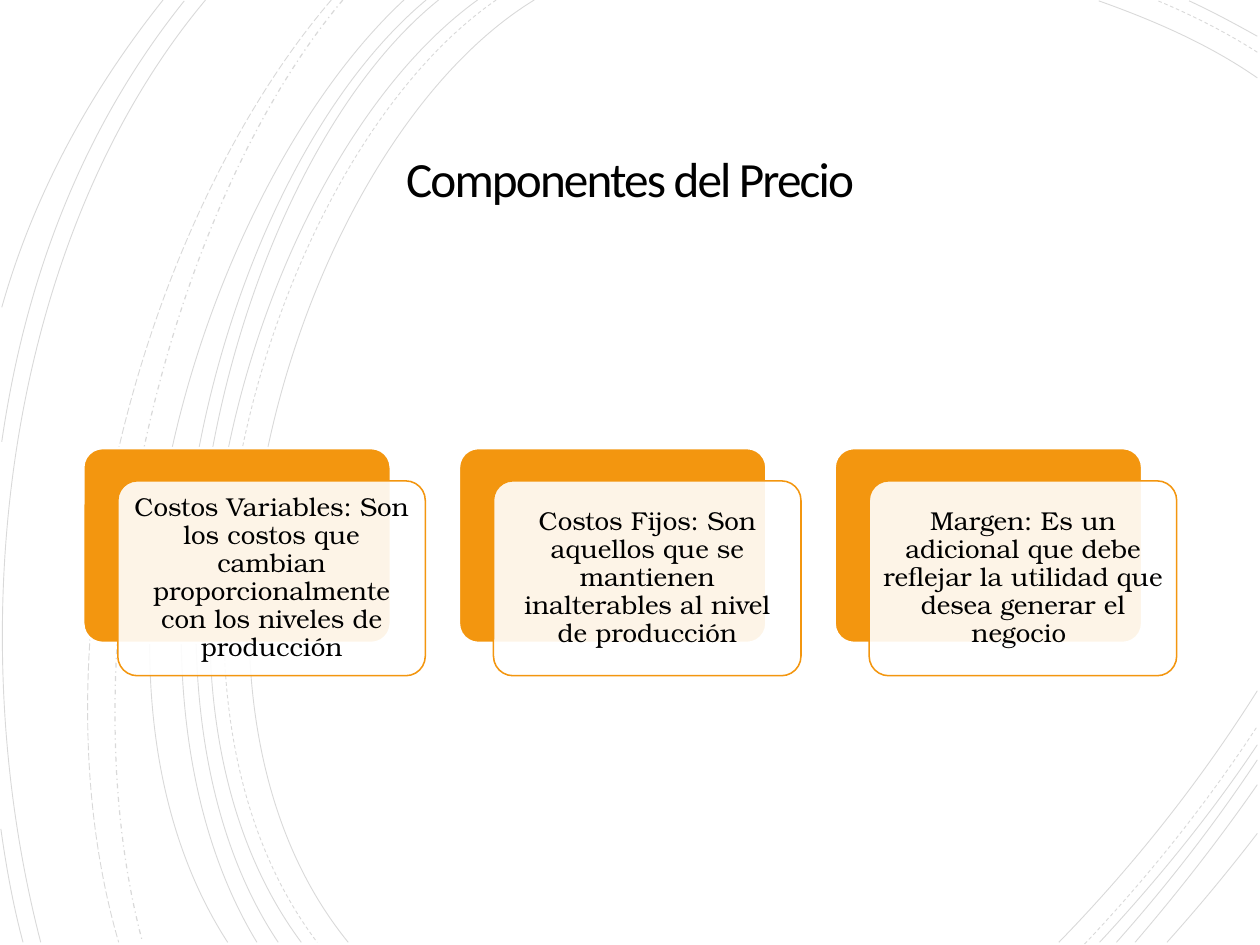
import dataclasses
import typing

import lxml.etree
import pptx
import pptx.dml.color
import pptx.enum.dml
import pptx.enum.shapes
import pptx.enum.text
import pptx.oxml.ns
import pptx.shapes.autoshape
import pptx.slide
import pptx.util

BLACK = pptx.dml.color.RGBColor(0x00, 0x00, 0x00)
WHITE = pptx.dml.color.RGBColor(0xFF, 0xFF, 0xFF)
ORANGE = pptx.dml.color.RGBColor(0xF3, 0x96, 0x0F)

# The slide is a grid of one-inch cells
COLUMNS, ROWS = 14.22, 10.67
CELL = pptx.util.Inches(1)

# Cards: three columns, each a back panel with a front panel shifted over it
CARD_LEFT, CARD_TOP, CARD_PITCH = 0.94, 5.06, 4.24
CARD_WIDTH, CARD_HEIGHT = 3.47, 2.2
SHIFT_X, SHIFT_Y = 0.39, 0.37
CORNER = 0.1
CARD_INSET, TITLE_INSET = 0.09, 0.25

CURVE_OPACITY, CARD_OPACITY = 15, 90
BOTTOM = 10.64
RIGHT = 14.19

Dash = pptx.enum.dml.MSO_LINE
Preset = pptx.enum.shapes.MSO_SHAPE
Point = tuple[float, float]
qn = pptx.oxml.ns.qn


@dataclasses.dataclass(frozen=True)
class Curve:
    start: Point
    bend_in: Point
    bend_out: Point
    end: Point
    dash: typing.Any = Dash.SOLID
    width: float = 0.75


@dataclasses.dataclass(frozen=True)
class Card:
    column: int
    text: str


CURVES = [
    # Long arcs from the top edge to the bottom edge
    Curve((6.03, 0), (3.36, 1.63), (1.52, 7.68), (3.93, BOTTOM)),
    Curve((5.6, 0), (3.04, 1.77), (1.31, 7.64), (3.58, BOTTOM), Dash.DASH),
    Curve((5.39, 0), (2.88, 1.81), (1.17, 7.64), (3.4, BOTTOM)),
    Curve((4.95, 0), (2.6, 1.89), (1.17, 7.7), (3.14, BOTTOM)),
    Curve((4.81, 0), (2.46, 1.96), (1.04, 7.58), (2.9, BOTTOM)),
    Curve((4.56, 0), (2.32, 2.08), (0.56, 7.53), (2.57, BOTTOM)),
    Curve((3.87, 0), (1.88, 2.37), (0.7, 7.24), (1.61, BOTTOM), Dash.DASH_DOT, 1),
    Curve((3.74, 0), (1.68, 2.4), (0.31, 7.1), (1.34, BOTTOM), Dash.LONG_DASH),
    Curve((2.32, 0), (0.12, 2.63), (-0.49, 6.97), (0.46, BOTTOM)),
    # Short arcs on the left edge
    Curve((2.08, 0.01), (0.99, 1.37), (0.3, 3.04), (0.02, 4.99)),
    Curve((0.01, 9.36), (0.07, 9.79), (0.15, 10.23), (0.26, BOTTOM)),
    Curve((1.84, 0), (1.06, 0.98), (0.4, 2.13), (0.02, 3.47)),
    # Top right corner
    Curve((RIGHT, 0.88), (13.63, 0.49), (12.99, 0.22), (12.4, 0.01)),
    Curve((RIGHT, 0.59), (13.83, 0.36), (13.45, 0.17), (13.07, 0.01), Dash.DASH),
    Curve((RIGHT, 0.41), (13.94, 0.27), (13.68, 0.13), (13.42, 0.01)),
    # Bottom right corner
    Curve((11.95, BOTTOM), (12.76, 9.81), (13.53, 8.85), (RIGHT, 7.8)),
    Curve((12.24, 10.66), (12.94, 9.92), (13.6, 9.1), (RIGHT, 8.2), Dash.DASH),
    Curve((12.41, BOTTOM), (13.04, 9.96), (13.65, 9.22), (RIGHT, 8.41)),
    Curve((12.6, BOTTOM), (13.16, 10.01), (13.7, 9.32), (RIGHT, 8.58)),
    Curve((12.81, BOTTOM), (13.29, 10.08), (13.76, 9.48), (RIGHT, 8.86)),
    Curve((13.17, BOTTOM), (13.52, 10.25), (13.86, 9.84), (RIGHT, 9.41)),
]

CARDS = [
    Card(0, "Costos Variables: Son los costos que cambian proporcionalmente "
            "con los niveles de producción"),
    Card(1, "Costos Fijos: Son aquellos que se mantienen inalterables "
            "al nivel de producción"),
    Card(2, "Margen: Es un adicional que debe reflejar la utilidad "
            "que desea generar el negocio "),
]


def cells(n: float) -> int:
    return round(n * CELL)


def set_opacity(sp: pptx.shapes.autoshape.Shape, parent: str, percent: int) -> None:
    """Make the solid colour found under the parent tag partly transparent."""
    steps = [qn(tag) for tag in (*parent.split(), "a:solidFill", "a:srgbClr")]
    colour = sp.element.spPr.find("/".join(steps))
    lxml.etree.SubElement(colour, qn("a:alpha")).set("val", str(percent * 1000))


def bend(sp: pptx.shapes.autoshape.Shape) -> None:
    """Turn the three line segments into one cubic curve."""
    segments = list(sp.element.iter(qn("a:lnTo")))
    outline = segments[0].getparent()
    cubic = lxml.etree.SubElement(outline, qn("a:cubicBezTo"))
    for segment in segments:
        cubic.append(segment[0])
        outline.remove(segment)


def write(sp: pptx.shapes.autoshape.Shape, text: str, font: str, size: float,
          spacing: float, inset: float) -> None:
    tf = sp.text_frame
    tf.text = text
    tf.word_wrap = True
    tf.auto_size = pptx.enum.text.MSO_AUTO_SIZE.NONE
    tf.vertical_anchor = pptx.enum.text.MSO_ANCHOR.MIDDLE
    tf.margin_left = tf.margin_right = tf.margin_top = tf.margin_bottom = cells(inset)
    p = tf.paragraphs[0]
    p.alignment = pptx.enum.text.PP_ALIGN.CENTER
    p.line_spacing = spacing
    r = p.runs[0]
    r.font.name = font
    r.font.size = pptx.util.Pt(size)
    r.font.color.rgb = BLACK


def draw_curve(s: pptx.slide.Slide, curve: Curve) -> None:
    builder = s.shapes.build_freeform(*map(cells, curve.start))
    knots = (curve.bend_in, curve.bend_out, curve.end)
    builder.add_line_segments([(cells(x), cells(y)) for x, y in knots], close=False)
    sp = builder.convert_to_shape()
    bend(sp)
    sp.shadow.inherit = False
    sp.fill.background()
    sp.line.color.rgb = BLACK
    sp.line.width = pptx.util.Pt(curve.width)
    sp.line.dash_style = curve.dash
    set_opacity(sp, "a:ln", CURVE_OPACITY)


def add_filled(s: pptx.slide.Slide, preset: Preset, left: float, top: float,
               width: float, height: float,
               fill: pptx.dml.color.RGBColor) -> pptx.shapes.autoshape.Shape:
    sp = s.shapes.add_shape(preset, *map(cells, (left, top, width, height)))
    sp.shadow.inherit = False
    sp.fill.solid()
    sp.fill.fore_color.rgb = fill
    return sp


def add_panel(s: pptx.slide.Slide, left: float, top: float,
              fill: pptx.dml.color.RGBColor, line: pptx.dml.color.RGBColor,
              width: float) -> pptx.shapes.autoshape.Shape:
    sp = add_filled(s, Preset.ROUNDED_RECTANGLE, left, top,
                    CARD_WIDTH, CARD_HEIGHT, fill)
    sp.adjustments[0] = CORNER
    sp.line.color.rgb = line
    sp.line.width = pptx.util.Pt(width)
    return sp


def draw_card(s: pptx.slide.Slide, card: Card) -> None:
    left = CARD_LEFT + card.column * CARD_PITCH
    add_panel(s, left, CARD_TOP, ORANGE, WHITE, 2)
    sp = add_panel(s, left + SHIFT_X, CARD_TOP + SHIFT_Y, WHITE, ORANGE, 1.25)
    set_opacity(sp, "", CARD_OPACITY)
    write(sp, card.text, "TeX Gyre Bonum", 21, 0.9, CARD_INSET)


def draw_title(s: pptx.slide.Slide) -> None:
    sp = s.shapes.title
    sp.left, sp.top, sp.width, sp.height = map(cells, (2.05, 1.24, 10.12, 1.63))
    write(sp, "Componentes del Precio", "Calibri", 40, 0.85, TITLE_INSET)
    next(sp.element.iter(qn("a:rPr"))).set("spc", "-150")
    # Bring the title in front of the backdrop
    s.shapes.element.append(sp.element)


def main() -> None:
    prs = pptx.Presentation()
    prs.slide_width, prs.slide_height = cells(COLUMNS), cells(ROWS)
    s = prs.slides.add_slide(prs.slide_layouts.get_by_name("Title Only"))

    # Backdrop: white sheet with curves
    add_filled(s, Preset.RECTANGLE, 0, 0, COLUMNS, ROWS, WHITE).line.fill.background()
    for curve in CURVES:
        draw_curve(s, curve)

    # Content
    draw_title(s)
    for card in CARDS:
        draw_card(s, card)
    prs.save("out.pptx")


if __name__ == "__main__":
    main()
